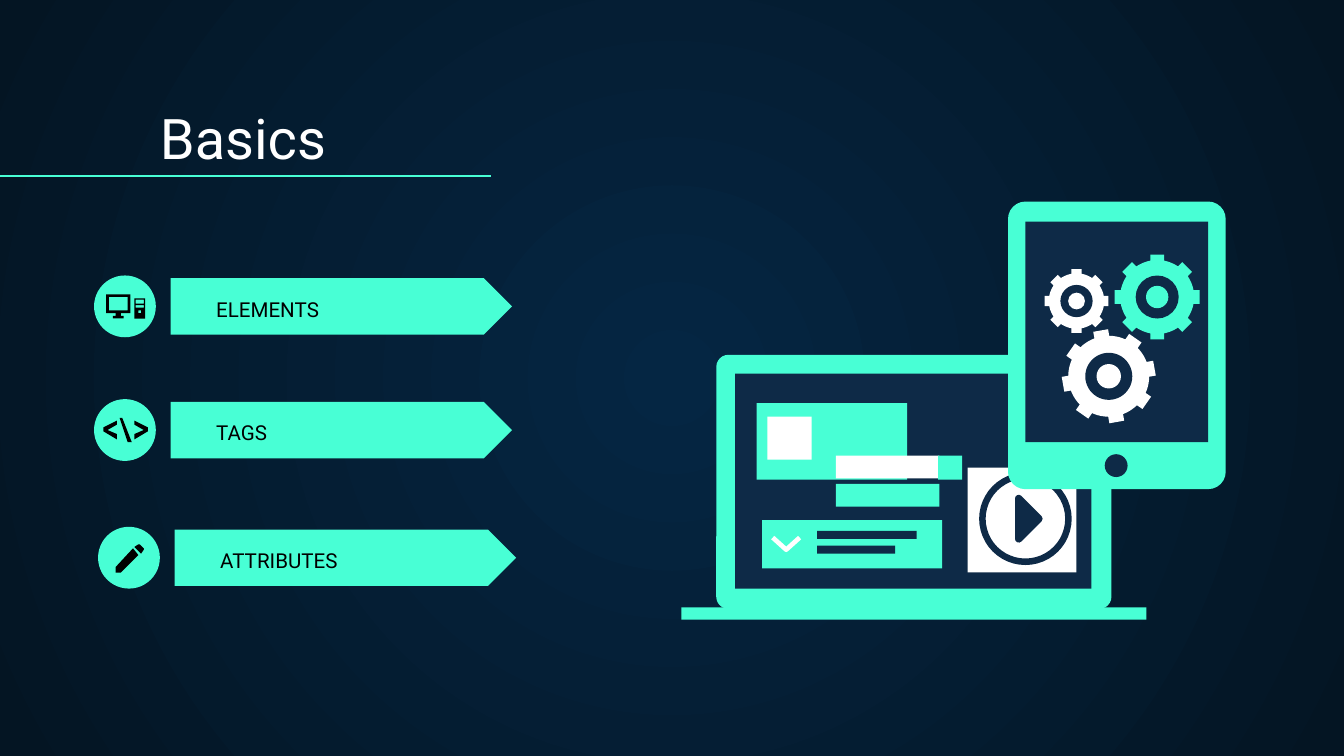
from math import cos, sin, asin, pi, radians
from pptx import Presentation
from pptx.dml.color import RGBColor
from pptx.enum import shapes as sh, text as tx
from pptx.oxml import parse_xml
from pptx.oxml.ns import nsdecls, qn
from pptx.util import Inches, Pt

MINT = RGBColor(0x48, 0xFF, 0xD5)
NAVY = RGBColor(0x0E, 0x2A, 0x47)
WHITE = RGBColor(0xFF, 0xFF, 0xFF)
BLACK = RGBColor(0, 0, 0)
GLOW = RGBColor(0x05, 0x26, 0x43)
EDGE = RGBColor(0x04, 0x15, 0x23)
KIND = sh.MSO_SHAPE
RECT, OVAL, ROUND = KIND.RECTANGLE, KIND.OVAL, KIND.ROUNDED_RECTANGLE


def box(x, y, w, h):
    return [(x, y), (x + w, y), (x + w, y + h), (x, y + h)]


# Content: label, left and top of each row, outlines of its icon
ROWS = [
    ("ELEMENTS", 0.7, 2.05, [
        [box(0.79, 2.19, 0.18, 0.14), box(0.81, 2.21, 0.14, 0.1)],
        [[(0.86, 2.33), (0.9, 2.33), (0.9, 2.35), (0.92, 2.35),
          (0.92, 2.37), (0.84, 2.37), (0.84, 2.35), (0.86, 2.35)]],
        [box(1, 2.22, 0.08, 0.15), box(1.01, 2.23, 0.06, 0.03),
         box(1.01, 2.27, 0.06, 0.02), box(1.03, 2.31, 0.02, 0.02)]]),
    ("TAGS", 0.7, 2.97, [
        [[(0.87, 3.27), (0.77, 3.21), (0.77, 3.18), (0.87, 3.13),
          (0.87, 3.16), (0.8, 3.2), (0.87, 3.23)]],
        [[(0.95, 3.29), (0.89, 3.11), (0.91, 3.11), (0.98, 3.29)]],
        [[(1, 3.27), (1, 3.23), (1.07, 3.2), (1, 3.16),
          (1, 3.13), (1.1, 3.18), (1.1, 3.21)]]]),
    ("ATTRIBUTES", 0.73, 3.92, [
        [[(1.03, 4.05), (1.04, 4.05), (1.07, 4.08), (1.07, 4.09),
          (1.05, 4.12), (1, 4.07)],
         [(0.99, 4.08), (0.86, 4.22), (0.86, 4.26), (0.9, 4.26),
          (1.03, 4.13)]]]),
]

# Devices: kind, left, top, width, height, colour, corner radius
LAPTOP = [
    (ROUND, 5.33, 2.64, 2.94, 1.89, MINT, 0.09),
    (RECT, 5.47, 2.78, 2.65, 1.6, NAVY, 0),
    (RECT, 5.07, 4.52, 3.46, 0.09, MINT, 0),
    (RECT, 5.63, 3, 1.12, 0.57, MINT, 0),
    (RECT, 5.71, 3.1, 0.33, 0.32, WHITE, 0),
    (RECT, 5.67, 3.87, 1.34, 0.36, MINT, 0),
    (RECT, 6.08, 3.95, 0.74, 0.06, NAVY, 0),
    (RECT, 6.08, 4.06, 0.58, 0.06, NAVY, 0),
    (RECT, 6.22, 3.6, 0.77, 0.17, MINT, 0),
    (RECT, 6.22, 3.39, 0.77, 0.17, WHITE, 0),
    (RECT, 6.98, 3.39, 0.18, 0.18, MINT, 0),
    (RECT, 7.2, 3.48, 0.81, 0.78, WHITE, 0),
]
TABLET = [
    (ROUND, 7.5, 1.5, 1.62, 2.14, MINT, 0.13),
    (RECT, 7.63, 1.65, 1.36, 1.64, NAVY, 0),
    (OVAL, 8.22, 3.38, 0.17, 0.17, NAVY, 0),
]
TICK = [(5.75, 4), (5.85, 4.09), (5.95, 4)]
PLAY = [(7.58, 3.71), (7.73, 3.86), (7.58, 4.01)]

# Gears: centre, tip radius, turn in degrees, colour
GEARS = [(8.61, 2.21, 0.32, 0, MINT), (8.01, 2.24, 0.24, 0, WHITE),
         (8.25, 2.8, 0.35, -10, WHITE)]

prs = Presentation()
prs.slide_width, prs.slide_height = Inches(10), Inches(10 * 9 / 16)
slide = prs.slides.add_slide(prs.slide_layouts[5])
items = slide.shapes


def paint(shape, fill=None, line=None, width=0.75):
    shape.shadow.inherit = False
    if fill is None:
        shape.fill.background()
    else:
        shape.fill.solid()
        shape.fill.fore_color.rgb = fill
    if line is None:
        shape.line.fill.background()
    else:
        shape.line.color.rgb = line
        shape.line.width = Pt(width)
    return shape


def add(kind, x, y, w, h, fill=None, radius=0, **style):
    shape = items.add_shape(kind, *map(Inches, (x, y, w, h)))
    if kind == ROUND:
        shape.adjustments[0] = radius / min(w, h)
    return paint(shape, fill, **style)


def disc(x, y, r, fill=None, **style):
    return add(OVAL, x - r, y - r, 2 * r, 2 * r, fill, **style)


def draw(loops, fill=None, close=True, **style):
    loops = [[(Inches(x), Inches(y)) for x, y in loop] for loop in loops]
    pen = items.build_freeform(*loops[0][0])
    for i, loop in enumerate(loops):
        if i:
            pen.move_to(*loop[0])
        pen.add_line_segments(loop[1:], close=close)
    return paint(pen.convert_to_shape(), fill, **style)


def write(shape, words, x, y, w, h, size=11, color=BLACK):
    shape.left, shape.top, shape.width, shape.height = map(Inches, (x, y, w, h))
    frame = shape.text_frame
    frame.word_wrap = True
    frame.auto_size = tx.MSO_AUTO_SIZE.NONE
    frame.vertical_anchor = tx.MSO_ANCHOR.BOTTOM
    frame.margin_left = frame.margin_right = Inches(0.1)
    frame.margin_top = frame.margin_bottom = Inches(0.1)
    frame.text = words
    para = frame.paragraphs[0]
    para.alignment = tx.PP_ALIGN.LEFT
    font = para.runs[0].font
    font.name, font.size, font.color.rgb = "Roboto", Pt(size), color


def gear(x, y, tip, turn, fill, teeth=8):
    body, half = tip * 0.86, tip * 0.16
    step, rim = 2 * pi / teeth, asin(half / body)
    edge = asin(half / tip)
    points = []
    for i in range(teeth):
        mid = i * step + radians(turn)
        polar = [(body, -rim), (tip, -edge), (tip, edge), (body, rim)]
        polar += [(body, rim + (step - 2 * rim) * k / 5) for k in range(1, 5)]
        points += [(x + r * cos(mid + a), y + r * sin(mid + a)) for r, a in polar]
    draw([points], fill)
    disc(x, y, tip * 0.5, NAVY)
    disc(x, y, tip * 0.26, fill)


# Background: round glow from the centre
back = slide.background.fill
back.gradient()
for i, (stop, color) in enumerate(zip(back.gradient_stops, (GLOW, EDGE))):
    stop.color.rgb, stop.position = color, i
grad = slide.element.find(".//" + qn("a:gradFill"))
grad.replace(grad.find(qn("a:lin")), parse_xml(
    f'<a:path {nsdecls("a")} path="circle">'
    '<a:fillToRect l="50000" t="50000" r="50000" b="50000"/></a:path>'))

# Title and its rule
write(items.title, "Basics", 1.09, 0.71, 8.57, 0.66, size=30, color=WHITE)
rule = items.add_connector(sh.MSO_CONNECTOR.STRAIGHT, 0, Inches(1.31),
                           Inches(3.65), Inches(1.31))
rule.line.color.rgb, rule.line.width = MINT, Pt(0.75)
rule.element.spPr.append(parse_xml(f'<a:effectLst {nsdecls("a")}/>'))

# Rows: arrow, label, badge and icon
for label, x, y, icon in ROWS:
    add(KIND.PENTAGON, x + 0.57, y + 0.02, 2.54, 0.42, MINT)
    write(items.add_textbox(0, 0, 0, 0), label, x + 0.81, y + 0.23, 2.27, 0.21)
    add(OVAL, x, y, 0.46, 0.46, MINT)
    for loops in icon:
        draw(loops, BLACK)

# Laptop with tick and play button
for part in LAPTOP:
    add(*part)
draw([TICK], close=False, line=WHITE, width=2.5)
disc(7.63, 3.86, 0.32, line=NAVY, width=3.5)
draw([PLAY], NAVY, line=NAVY, width=4)

# Tablet with gears
for part in TABLET:
    add(*part)
for part in GEARS:
    gear(*part)

prs.save("out.pptx")
